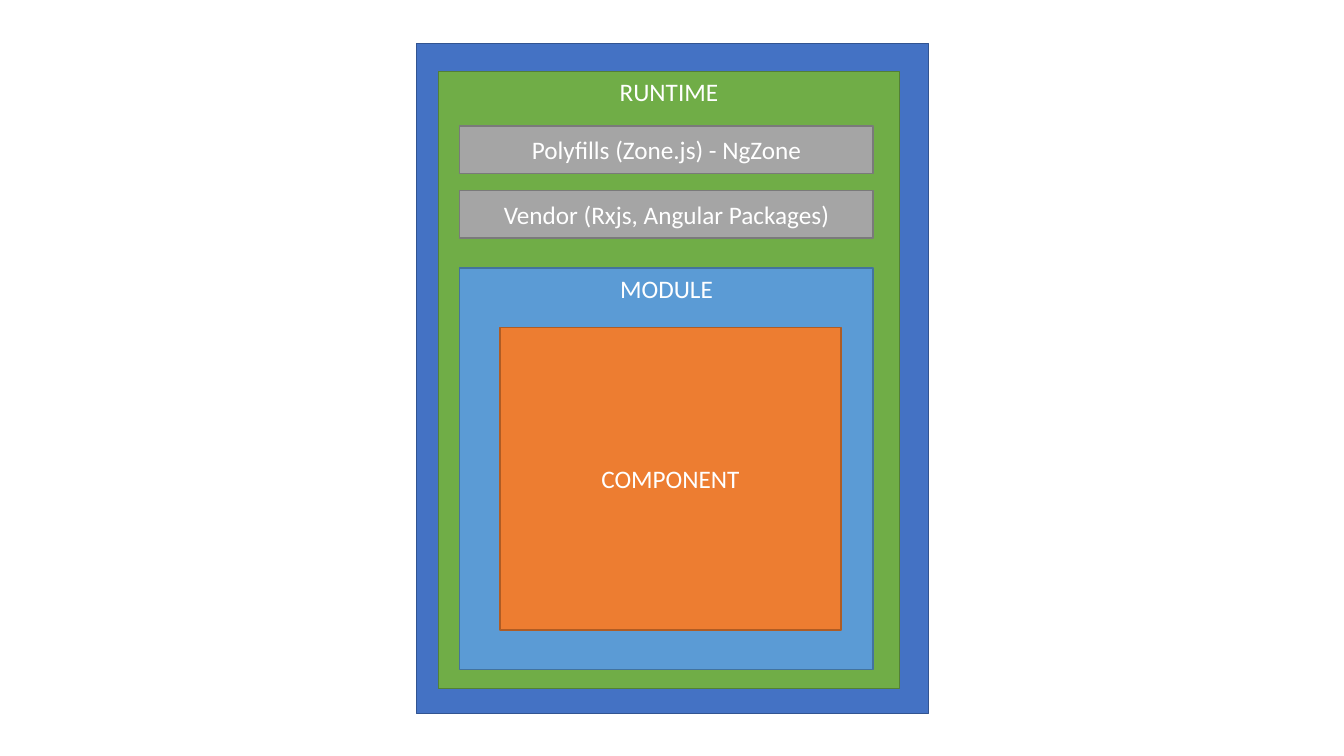
import pptx
import pptx.dml.color
import pptx.enum.shapes
import pptx.enum.text
import pptx.util

COLORS = {
    "browser": "4472C4", "browser_edge": "325491",
    "runtime": "70AD47", "runtime_edge": "538035",
    "library": "A5A5A5", "library_edge": "7A7A7A",
    "module": "5B9BD5", "module_edge": "43739E",
    "component": "ED7D31", "component_edge": "AF5C24",
    "label": "FFFFFF",
}


def color(name):
    return pptx.dml.color.RGBColor.from_string(COLORS[name])


deck = pptx.Presentation()
deck.slide_width = pptx.util.Inches(13.33)
deck.slide_height = pptx.util.Inches(7.5)
architecture = deck.slides.add_slide(deck.slide_layouts[6])

# Grid: one column or row is one percent of the slide
column = deck.slide_width / 100
row = deck.slide_height / 100

# Columns shared by everything directly inside the runtime
inner_left, inner_width = 34.21, 30.76

# Library bars, evenly stacked
library_top, library_pitch, library_height = 16.67, 8.53, 6.27
libraries = ["Polyfills (Zone.js) - NgZone", "Vendor (Rxjs, Angular Packages)"]

top = pptx.enum.text.MSO_ANCHOR.TOP
middle = pptx.enum.text.MSO_ANCHOR.MIDDLE

# Nested layers from the outside in: palette, label, anchor, left, top, width, height
layers = [
    ("browser", "", middle, 30.98, 5.73, 38.11, 88.67),
    ("runtime", "RUNTIME", top, 32.63, 9.47, 34.28, 81.6),
    *[("library", library, middle, inner_left, library_top + i * library_pitch,
       inner_width, library_height) for i, library in enumerate(libraries)],
    ("module", "MODULE", top, inner_left, 35.47, inner_width, 53.07),
    ("component", "COMPONENT", middle, 37.21, 43.33, 25.36, 40),
]

label_format = {"name": "Calibri", "size": pptx.util.Pt(18)}

for palette, label, anchor, x, y, width, height in layers:
    layer = architecture.shapes.add_shape(
        pptx.enum.shapes.MSO_SHAPE.RECTANGLE,
        round(x * column), round(y * row),
        round(width * column), round(height * row))
    layer.shadow.inherit = False
    layer.fill.solid()
    layer.fill.fore_color.rgb = color(palette)
    layer.line.color.rgb = color(palette + "_edge")
    layer.line.width = pptx.util.Pt(1)

    # Layer label
    if label:
        layer.text_frame.word_wrap = True
        layer.text_frame.vertical_anchor = anchor
        caption = layer.text_frame.paragraphs[0]
        caption.alignment = pptx.enum.text.PP_ALIGN.CENTER
        caption_run = caption.add_run()
        caption_run.text = label
        for attribute, value in label_format.items():
            setattr(caption_run.font, attribute, value)
        caption_run.font.color.rgb = color("label")

deck.save("out.pptx")
